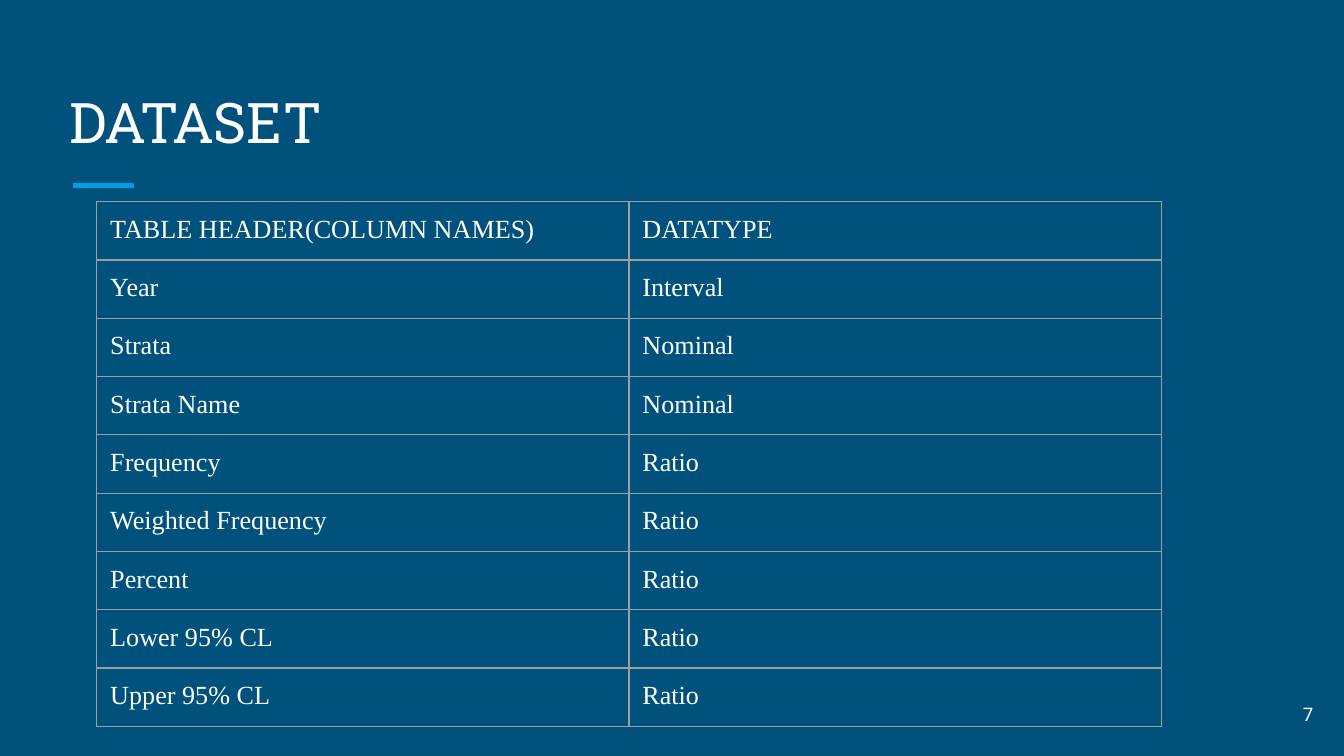
from lxml import etree
from pptx import Presentation
from pptx import util as u
from pptx.dml.color import RGBColor
from pptx.enum import shapes, text
from pptx.oxml.ns import qn

NAVY = RGBColor(0x00, 0x51, 0x7C)
ACCENT = RGBColor(0x03, 0x9B, 0xE5)
WHITE = RGBColor(0xFF, 0xFF, 0xFF)
BORDER = RGBColor(0x9E, 0x9E, 0x9E)

INSET = u.Inches(0.1)
ROWS = [
    ("TABLE HEADER(COLUMN NAMES)", "DATATYPE"),
    ("Year", "Interval"),
    ("Strata", "Nominal"),
    ("Strata Name", "Nominal"),
    ("Frequency", "Ratio"),
    ("Weighted Frequency", "Ratio"),
    ("Percent", "Ratio"),
    ("Lower 95% CL", "Ratio"),
    ("Upper 95% CL", "Ratio"),
]


def inches(*lengths):
    return [u.Inches(n) for n in lengths]


def style_text(tf, font, size, align=text.PP_ALIGN.LEFT):
    for p in tf.paragraphs:
        p.alignment = align
        for r in p.runs:
            r.font.name = font
            r.font.size = u.Pt(size)
            r.font.color.rgb = WHITE


def set_insets(target):
    target.margin_left = target.margin_right = INSET
    target.margin_top = target.margin_bottom = INSET


def add_label(s, box, words, font, size, anchor, align=text.PP_ALIGN.LEFT):
    tf = s.shapes.add_textbox(*inches(*box)).text_frame
    tf.word_wrap = True
    tf.vertical_anchor = anchor
    set_insets(tf)
    tf.text = words
    style_text(tf, font, size, align)


def add_heading(s, box, words):
    left, top, width, height = box
    add_label(s, box, words, "Roboto Slab", 30, text.MSO_ANCHOR.BOTTOM)
    # Short accent rule below the title, starting at its text edge
    x, y = left + 0.12, top + height + 0.13
    rule = s.shapes.add_connector(
        shapes.MSO_CONNECTOR.STRAIGHT, *inches(x, y, x + 0.46, y))
    rule.line.color.rgb = ACCENT
    rule.line.width = u.Pt(3)
    etree.SubElement(rule._element.spPr, qn("a:effectLst"))


def set_borders(cell):
    tcPr = cell._tc.get_or_add_tcPr()
    for i, side in enumerate(("a:lnL", "a:lnR", "a:lnT", "a:lnB")):
        ln = etree.Element(qn(side), w=str(u.Pt(0.75)))
        fill = etree.SubElement(ln, qn("a:solidFill"))
        etree.SubElement(fill, qn("a:srgbClr"), val=str(BORDER))
        tcPr.insert(i, ln)  # borders come before the cell fill


def add_data_table(s, box, rows):
    left, top, width, height = inches(*box)
    table = s.shapes.add_table(
        len(rows), len(rows[0]), left, top, width, height).table
    table.first_row = table.horz_banding = False
    for i, row in enumerate(rows):
        for j, words in enumerate(row):
            cell = table.cell(i, j)
            cell.text = words
            cell.fill.background()
            set_insets(cell)
            set_borders(cell)
            style_text(cell.text_frame, "Times New Roman", 14)


def main():
    prs = Presentation()
    prs.slide_width = u.Inches(10)
    prs.slide_height = prs.slide_width * 9 // 16
    s = prs.slides.add_slide(prs.slide_layouts[6])
    s.background.fill.solid()
    s.background.fill.fore_color.rgb = NAVY

    # Title, page number and table of columns
    add_heading(s, (0.42, 0.5, 9.15, 0.75), "DATASET")
    add_label(s, (9.27, 5.1, 0.6, 0.43), "7", "Roboto", 10,
              text.MSO_ANCHOR.MIDDLE, text.PP_ALIGN.RIGHT)
    add_data_table(s, (0.72, 1.5, 7.92, 3.75), ROWS)

    prs.save("out.pptx")


if __name__ == "__main__":
    main()
